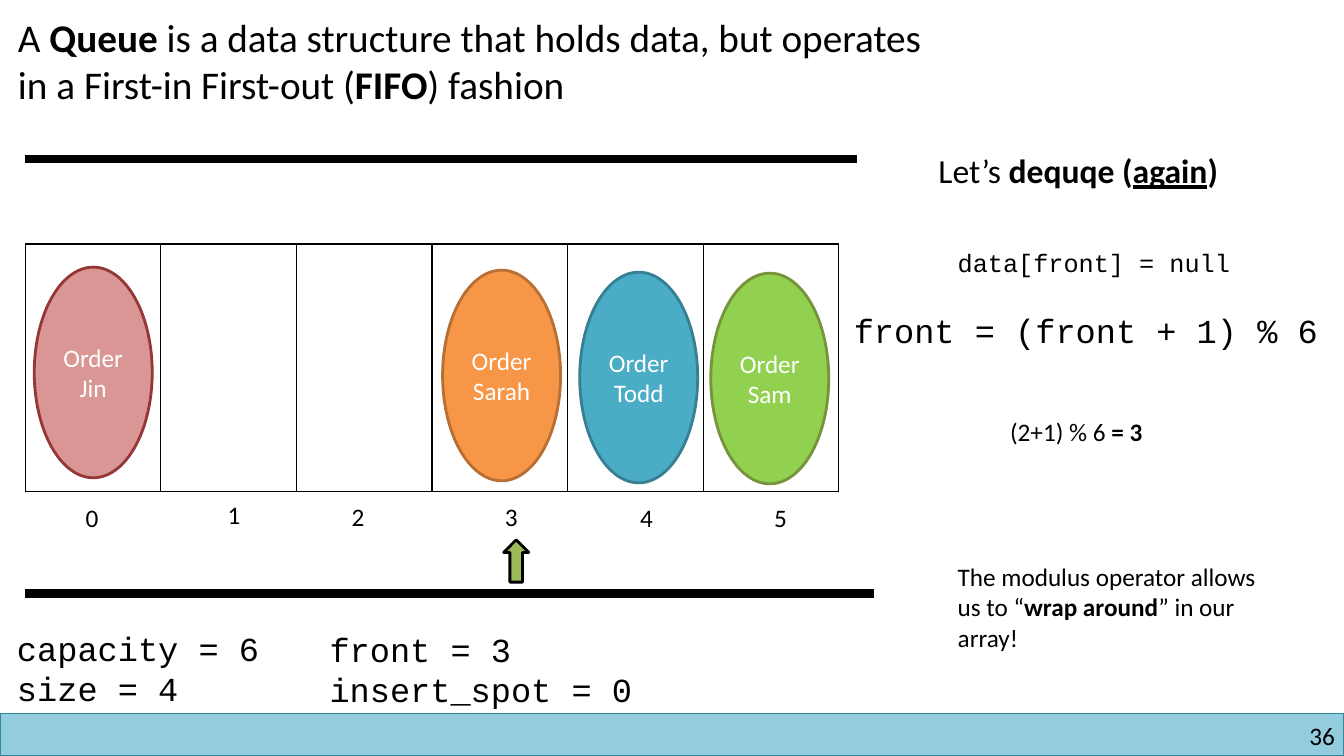
from lxml.etree import SubElement
from pptx import Presentation
from pptx.dml.color import RGBColor
from pptx.enum.shapes import MSO_CONNECTOR, MSO_SHAPE
from pptx.enum.text import MSO_ANCHOR, MSO_AUTO_SIZE, PP_ALIGN
from pptx.oxml.ns import qn
from pptx.util import Inches, Pt

# Content: a paragraph is a list of (text, style), style holding b (bold), u (underline)
SANS, MONO = "Calibri", "Courier New"
TITLE = [[("A ", ""), ("Queue", "b"),
          (" is a data structure that holds data, but operates in a First-in First-out (", ""),
          ("FIFO", "b"), (") fashion", "")]]
STEP = [[("Let’s ", ""), ("dequqe (", "b"), ("again", "bu"), (")", "b")]]
CLEAR = [[("data[front] = null", "")]]
ADVANCE = [[("front = (front + 1) % 6", "")]]
RESULT = [[("(2+1) % 6 ", ""), ("= 3", "b")]]
REMARK = [[("The modulus operator allows us to “", ""), ("wrap around", "b"),
           ("” in our array!", "")]]
SIZES = [[("capacity = 6", "")], [("size = 4", "")]]
SPOTS = [[("front = 3", "")], [("insert_spot = 0", "")]]

# box (left, top, width, height), paragraphs, font, size, wrap
TEXTS = [
    ((0.08, 0.08, 9.32, 1.04), TITLE, SANS, 28, True),
    ((9.21, 1.44, 3.4, 0.5), STEP, SANS, 24, False),
    ((9.4, 2.4, 2.92, 0.4), CLEAR, MONO, 18, False),
    ((8.37, 3.03, 4.84, 0.5), ADVANCE, MONO, 24, False),
    ((9.92, 4.08, 1.73, 0.4), RESULT, SANS, 18, False),
    ((9.4, 5.52, 3.35, 1.01), REMARK, SANS, 18, True),
    ((0.07, 6.18, 2.62, 0.91), SIZES, MONO, 24, False),
    ((3.17, 6.19, 3.23, 0.91), SPOTS, MONO, 24, False),
]
# name, left, top, fill, line
ORDERS = [
    ("Jin", 0.34, 2.65, "D99694", "953735"),
    ("Sarah", 4.39, 2.68, "F79646", "B76F34"),
    ("Todd", 5.75, 2.7, "4BACC6", "377F92"),
    ("Sam", 7.05, 2.71, "92D050", "77933C"),
]
INDEX_SPOTS = [(0.75, 4.93), (2.16, 4.9), (3.39, 4.92),
               (4.91, 4.92), (6.25, 4.93), (7.58, 4.93)]
RULES = [(1.58, 8.5), (5.89, 8.67)]  # y, right end

# Layout
WIDTH, HEIGHT = 13.33, 7.5
LEFT = 0.25
ARRAY_TOP, ARRAY_W, ARRAY_H = 2.42, 8.07, 2.46
ORDER_W, ORDER_H = 1.17, 2.09
FOOTER_H = 0.42

prs = Presentation()
prs.slide_width, prs.slide_height = Inches(WIDTH), Inches(HEIGHT)
s = prs.slides.add_slide(prs.slide_layouts[6])


def rgb(value):
    return RGBColor.from_string(value)


def inches(*values):
    return [Inches(v) for v in values]


def write(tf, paragraphs, font, size, color="000000", align=PP_ALIGN.LEFT):
    for i, runs in enumerate(paragraphs):
        p = tf.paragraphs[0] if i == 0 else tf.add_paragraph()
        p.alignment = align
        p.font.name, p.font.size = font, Pt(size)
        p.font.color.rgb = rgb(color)
        for text, style in runs:
            r = p.add_run()
            r.text = text
            if "b" in style:
                r.font.bold = True
            if "u" in style:
                r.font.underline = True


def add_text(box, paragraphs, font, size, wrap, align=PP_ALIGN.LEFT, inset=None):
    tf = s.shapes.add_textbox(*inches(*box)).text_frame
    tf.word_wrap = wrap
    tf.auto_size = MSO_AUTO_SIZE.SHAPE_TO_FIT_TEXT
    if inset is not None:
        tf.margin_left = tf.margin_right = tf.margin_top = tf.margin_bottom = Inches(inset)
    write(tf, paragraphs, font, size, align=align)


def add_preset(kind, box, fill, line, weight):
    sp = s.shapes.add_shape(kind, *inches(*box))
    sp.shadow.inherit = False
    sp.fill.solid()
    sp.fill.fore_color.rgb = rgb(fill)
    sp.line.color.rgb = rgb(line)
    sp.line.width = Pt(weight)
    return sp


def add_borders(cell, color, weight):
    tc_pr = cell._tc.get_or_add_tcPr()
    for side in ("a:lnL", "a:lnR", "a:lnT", "a:lnB"):
        ln = SubElement(tc_pr, qn(side), w=str(Pt(weight)))
        fill = SubElement(ln, qn("a:solidFill"))
        SubElement(fill, qn("a:srgbClr"), val=color)


# Footer band and slide number
add_preset(MSO_SHAPE.RECTANGLE, (0, HEIGHT - FOOTER_H, WIDTH, FOOTER_H),
           "93CDDD", "31859C", 1)
add_text((10.17, 7.15, 3.07, 0.3), [[("36", "")]], SANS, 18, True, PP_ALIGN.RIGHT, 0)

# Rules above and below the array
for y, right in RULES:
    rule = s.shapes.add_connector(MSO_CONNECTOR.STRAIGHT, *inches(LEFT, y, right, y))
    rule.line.color.rgb = rgb("000000")
    rule.line.width = Pt(6)
    SubElement(rule._element.spPr, qn("a:effectLst"))

# Array cells
array = s.shapes.add_table(1, len(INDEX_SPOTS),
                           *inches(LEFT, ARRAY_TOP, ARRAY_W, ARRAY_H)).table
for cell in array.iter_cells():
    add_borders(cell, "000000", 1)
    cell.fill.solid()
    cell.fill.fore_color.rgb = rgb("FFFFFF")

# Index labels and the marker of the front
for index, (x, y) in enumerate(INDEX_SPOTS):
    add_text((x, y, 0.34, 0.4), [[(str(index), "")]], SANS, 18, False)
marker = add_preset(MSO_SHAPE.RIGHT_ARROW, (4.91, 5.44, 0.42, 0.25), "9BBB59", "000000", 2)
marker.rotation = 270

# Orders in the queue
for name, x, y, fill, line in ORDERS:
    sp = add_preset(MSO_SHAPE.OVAL, (x, y, ORDER_W, ORDER_H), fill, line, 2)
    tf = sp.text_frame
    tf.word_wrap = True
    tf.vertical_anchor = MSO_ANCHOR.MIDDLE
    write(tf, [[("Order", "")], [(name, "")]], SANS, 18, "FFFFFF", PP_ALIGN.CENTER)

# Title, dequeue steps and state
for entry in TEXTS:
    add_text(*entry)

prs.save("out.pptx")
